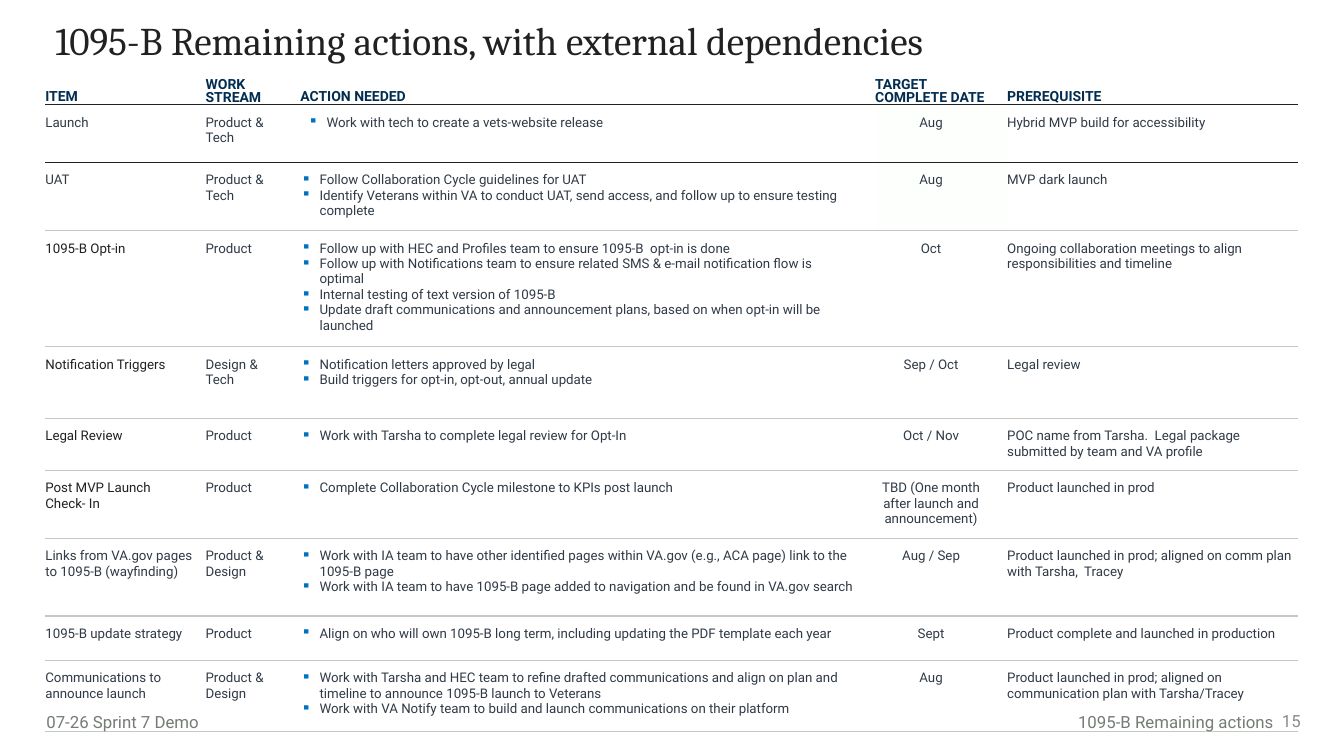
from lxml import etree
from pptx import Presentation
from pptx.dml.color import RGBColor
from pptx.enum.text import MSO_ANCHOR, PP_ALIGN
from pptx.oxml.ns import qn
from pptx.util import Inches, Pt

LEFT, CENTER, RIGHT = PP_ALIGN.LEFT, PP_ALIGN.CENTER, PP_ALIGN.RIGHT
TOP, MIDDLE, BOTTOM = MSO_ANCHOR.TOP, MSO_ANCHOR.MIDDLE, MSO_ANCHOR.BOTTOM

COLORS = {
    "ink": "202120",
    "header": "022D50",
    "body": "303A46",
    "bullet": "0071BF",
    "rule": "C7C7C7",
    "highlight": "FDFFFD",
    "footer": "747C74",
    "page": "8A8A8A",
}

prs = Presentation()
prs.slide_width, prs.slide_height = Inches(13.33), Inches(7.5)
slide = prs.slides.add_slide(prs.slide_layouts[6])


def add_run(paragraph, text, size, color, font="Roboto", bold=False):
    run = paragraph.add_run()
    run.text = text
    run.font.size = Pt(size)
    run.font.name = font
    run.font.bold = bold
    run.font.color.rgb = RGBColor.from_string(COLORS[color])


def add_label(text, box, size, color, align=LEFT, anchor=TOP, font="Roboto", inset=0.1):
    frame = slide.shapes.add_textbox(*[Inches(v) for v in box]).text_frame
    frame.word_wrap = True
    frame.margin_left = Inches(inset)
    frame.vertical_anchor = anchor
    paragraph = frame.paragraphs[0]
    paragraph.alignment = align
    add_run(paragraph, text, size, color, font)
    return paragraph


title = add_label("1095-B Remaining actions, with external dependencies",
                  (0.45, 0.17, 13, 0.67), 28, "ink", font="Cambria")
title.line_spacing = 0.9
add_label("15", (12.56, 6.95, 0.44, 0.4), 12, "page", RIGHT, MIDDLE)

headings = [
    (["ITEM"], 1.15),
    (["WORK STREAM"], 0.8),
    (["ACTION NEEDED"], 1.15),
    (["TARGET", "COMPLETE DATE"], 0.8),
    (["PREREQUISITE"], 1.15),
]
actions = [
    (["Launch"], ["Product & Tech"],
     ["Work with tech to create a vets-website release"],
     ["Aug"], ["Hybrid MVP build for accessibility"]),
    (["UAT"], ["Product & Tech"],
     ["Follow Collaboration Cycle guidelines for UAT",
      "Identify Veterans within VA to conduct UAT, send access, and follow up to ensure testing complete"],
     ["Aug"], ["MVP dark launch"]),
    (["1095-B Opt-in"], ["Product"],
     ["Follow up with HEC and Profiles team to ensure 1095-B  opt-in is done",
      "Follow up with Notifications team to ensure related SMS & e-mail notification flow is optimal",
      "Internal testing of text version of 1095-B",
      "Update draft communications and announcement plans, based on when opt-in will be launched"],
     ["Oct"], ["Ongoing collaboration meetings to align responsibilities and timeline"]),
    (["Notification Triggers"], ["Design & Tech"],
     ["Notification letters approved by legal",
      "Build triggers for opt-in, opt-out, annual update"],
     ["Sep / Oct"], ["Legal review"]),
    (["Legal Review"], ["Product"],
     ["Work with Tarsha to complete legal review for Opt-In"],
     ["Oct / Nov"], ["POC name from Tarsha.  Legal package submitted by team and VA profile"]),
    (["Post MVP Launch", "Check- In"], ["Product"],
     ["Complete Collaboration Cycle milestone to KPIs post launch"],
     ["TBD (One month after launch and announcement)"], ["Product launched in prod"]),
    (["Links from VA.gov pages to 1095-B (wayfinding)"], ["Product & Design"],
     ["Work with IA team to have other identified pages within VA.gov (e.g., ACA page) link to the 1095-B page",
      "Work with IA team to have 1095-B page added to navigation and be found in VA.gov search"],
     ["Aug / Sep"], ["Product launched in prod; aligned on comm plan with Tarsha,  Tracey"]),
    (["1095-B update strategy"], ["Product"],
     ["Align on who will own 1095-B long term, including updating the PDF template each year"],
     ["Sept"], ["Product complete and launched in production"]),
    (["Communications to announce launch"], ["Product & Design"],
     ["Work with Tarsha and HEC team to refine drafted communications and align on plan and timeline to announce 1095-B launch to Veterans",
      "Work with VA Notify team to build and launch communications on their platform"],
     ["Aug"], ["Product launched in prod; aligned on communication plan with Tarsha/Tracey"]),
]
column_widths = [1.59, 0.94, 5.7, 1.31, 2.88]
row_heights = [0.46, 0.57, 0.68, 0.71, 0.71, 0.37, 0.5, 0.77, 0.44, 0.71]
ITEM, ACTION, DATE = 0, 2, 3
LAUNCH, UAT, STRATEGY = 1, 2, 8
DARK_ITEMS = range(3, 7)
FIRST_WIDE_ROW = 7

table = slide.shapes.add_table(
    len(row_heights), len(column_widths), Inches(0.45), Inches(0.58),
    Inches(sum(column_widths)), Inches(sum(row_heights))).table
table.first_row = False
table.horz_banding = False
for column, width in zip(table.columns, column_widths):
    column.width = Inches(width)
for row, height in zip(table.rows, row_heights):
    row.height = Inches(height)

dark_rule, light_rule = ("ink", 0.75), ("rule", 1)
for r in range(len(row_heights)):
    for c in range(len(column_widths)):
        cell = table.cell(r, c)
        is_header = r == 0
        top_rule = None if is_header else dark_rule if r <= UAT else light_rule
        bottom_rule = dark_rule if r <= LAUNCH else light_rule
        borders = {"a:lnL": None, "a:lnR": None, "a:lnT": top_rule, "a:lnB": bottom_rule}
        properties = cell._tc.get_or_add_tcPr()
        for side, rule in borders.items():
            line = etree.SubElement(properties, qn(side))
            if rule is None:
                etree.SubElement(line, qn("a:noFill"))
            else:
                line.set("w", str(Pt(rule[1])))
                solid = etree.SubElement(line, qn("a:solidFill"))
                etree.SubElement(solid, qn("a:srgbClr"), val=COLORS[rule[0]])
        if c == DATE and r in (LAUNCH, UAT):
            cell.fill.solid()
            cell.fill.fore_color.rgb = RGBColor.from_string(COLORS["highlight"])
        else:
            cell.fill.background()

        cell.margin_left = 0
        if is_header:
            texts, spacing = headings[c]
            cell.vertical_anchor = BOTTOM
            cell.margin_top = Inches(0.03)
            cell.margin_right = Inches(0.1 if c == ITEM else 0.03)
            cell.margin_bottom = 0
        else:
            texts, spacing = actions[r - 1][c], 1.0
            cell.vertical_anchor = TOP
            cell.margin_top = Inches(0.1)
            cell.margin_right = Inches(0 if r >= FIRST_WIDE_ROW and c % 2 == 0 else 0.2)
            cell.margin_bottom = Inches(0 if r == STRATEGY else 0.1)

        frame = cell.text_frame
        for i, text in enumerate(texts):
            paragraph = frame.paragraphs[0] if i == 0 else frame.add_paragraph()
            paragraph.line_spacing = spacing
            if is_header:
                add_run(paragraph, text, 10, "header", bold=True)
                continue
            paragraph.alignment = CENTER if c == DATE else LEFT
            if c == ACTION:
                indent = paragraph._p.get_or_add_pPr()
                indent.set("marL", str(Inches(0.26 if r == LAUNCH else 0.19)))
                indent.set("indent", str(Inches(-0.18)))
                bullet_color = etree.SubElement(indent, qn("a:buClr"))
                etree.SubElement(bullet_color, qn("a:srgbClr"), val=COLORS["bullet"])
                etree.SubElement(indent, qn("a:buChar"), char="▪")
            add_run(paragraph, text, 9.5, "ink" if c == ITEM and r in DARK_ITEMS else "body")

add_label("1095-B Remaining actions", (10.54, 7.01, 2.19, 0.3), 12, "footer", RIGHT)
add_label("07-26 Sprint 7 Demo", (0.46, 7.01, 2.98, 0.3), 12, "footer", inset=0)

prs.save("out.pptx")
